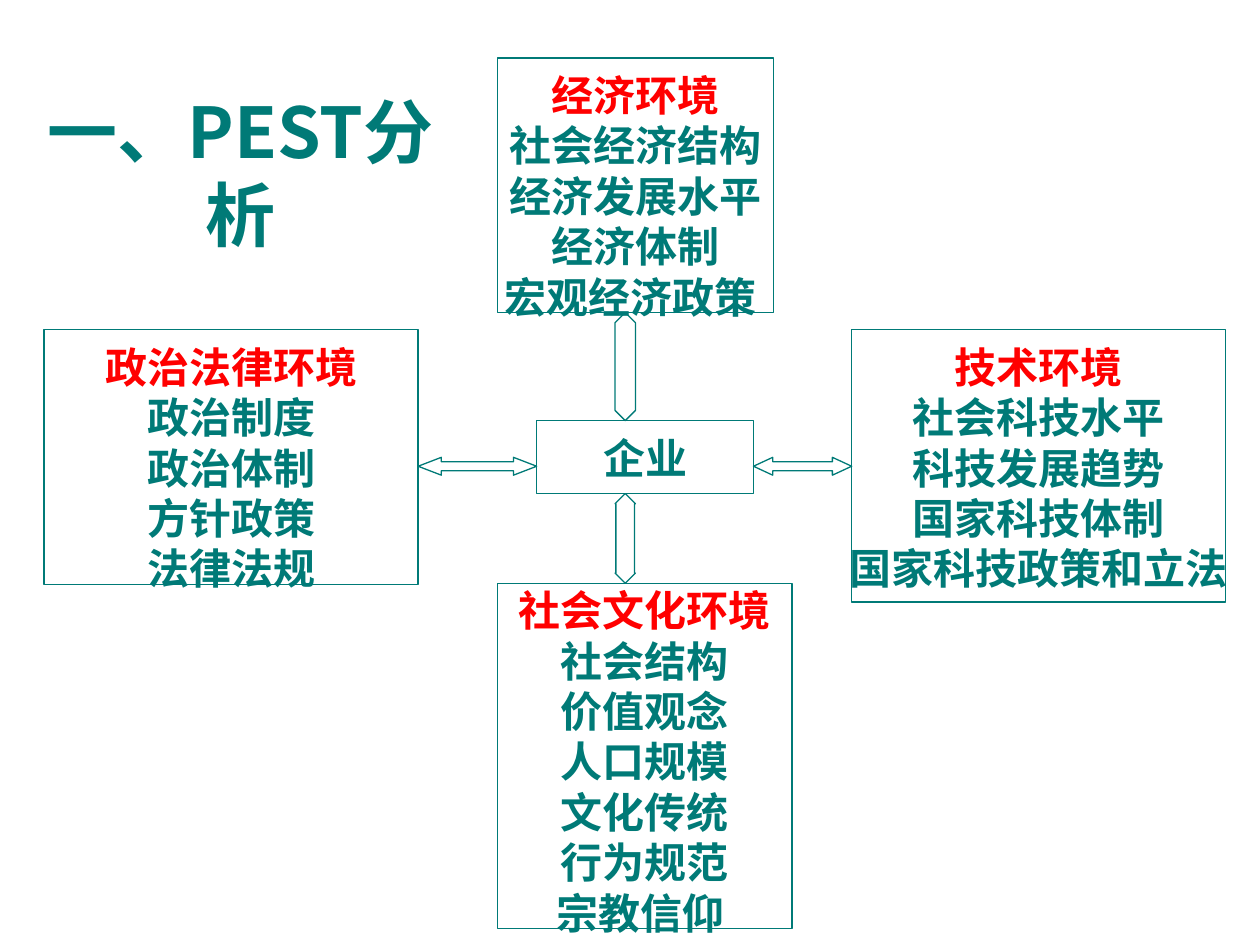
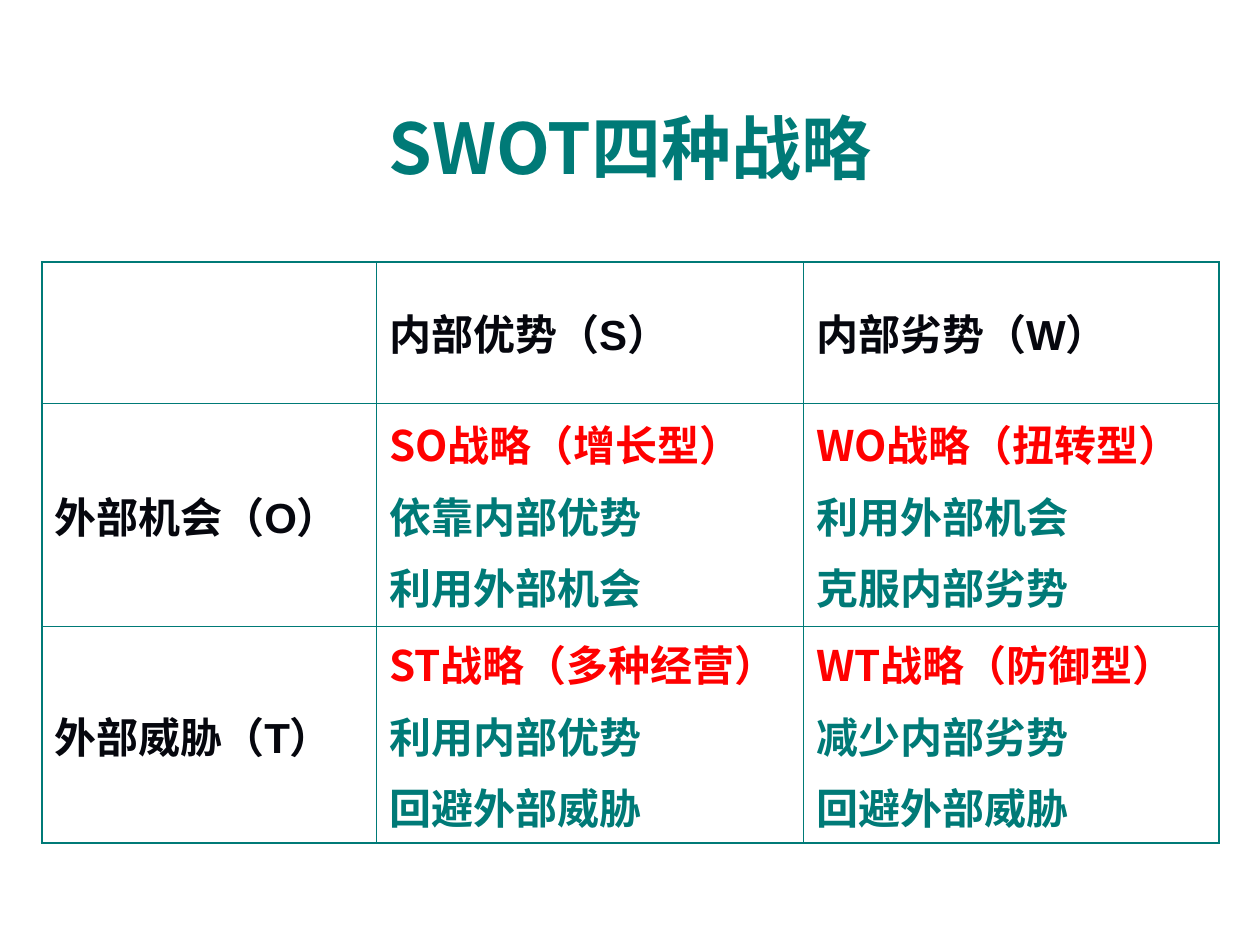
from lxml import etree
from pptx import Presentation
from pptx import util as u
from pptx.dml.color import RGBColor
from pptx.enum import shapes, text
from pptx.oxml.ns import qn

NOTO, TEAL, RED, INK = "Noto Sans CJK SC", "007A77", "FF0000", "06070E"
hue = RGBColor.from_string


def write(frame, lines, size, tints, faces, align, pitch=None, gap=0):
    for i, line in enumerate(lines):
        para = frame.paragraphs[0] if i == 0 else frame.add_paragraph()
        para.text = line
        para.alignment = align
        if pitch:
            para.line_spacing = u.Pt(pitch)
        if gap and i:
            para.space_before = u.Pt(gap)
        font = para.font
        font.size, font.bold = u.Pt(size), True
        font.name = faces[min(i, 1)]
        font.color.rgb = hue(tints[min(i, 1)])
        props = para._p.pPr.find(qn("a:defRPr"))
        etree.SubElement(props, qn("a:ea")).set("typeface", NOTO)


def start(name, place, pitch=None, top=0.13):
    slide = deck.slides.add_slide(deck.slide_layouts[5])
    title = slide.shapes.title
    title.left, title.top, title.width, title.height = map(u.Cm, place)
    frame = title.text_frame
    frame.auto_size = text.MSO_AUTO_SIZE.NONE
    frame.vertical_anchor = text.MSO_ANCHOR.MIDDLE
    frame.margin_top = u.Cm(top)
    write(frame, [name], 40, (TEAL, TEAL), (NOTO, NOTO), text.PP_ALIGN.CENTER, pitch)
    return slide


deck = Presentation()
deck.slide_width, deck.slide_height = u.Cm(25.4), u.Cm(19.05)

pest = start("一、PEST分析", (0.3, 1.73, 9.09, 3.18), 47.4, 0.46)

TOP, MID = text.MSO_ANCHOR.TOP, text.MSO_ANCHOR.MIDDLE
boxes = [
    ((10.03, 1.17, 5.56, 5.13), TOP, 0.23, RED, NOTO,
     ["经济环境", "社会经济结构", "经济发展水平", "经济体制", "宏观经济政策 "]),
    ((0.89, 6.65, 7.54, 5.13), TOP, 0.23, RED, NOTO,
     ["政治法律环境", "政治制度", "政治体制", "方针政策", "法律法规"]),
    ((17.17, 6.65, 7.54, 5.49), TOP, 0.23, RED, NOTO,
     ["技术环境", "社会科技水平", "科技发展趋势", "国家科技体制", "国家科技政策和立法"]),
    ((10.03, 11.76, 5.94, 6.96), MID, 0.33, RED, NOTO,
     ["社会文化环境", "社会结构", "价值观念", "人口规模", "文化传统", "行为规范", "宗教信仰 "]),
    ((10.82, 8.48, 4.37, 1.47), TOP, 0.23, TEAL, "Times New Roman", ["企业"]),
]
for place, anchor, top, tint, face, lines in boxes:
    box = pest.shapes.add_shape(shapes.MSO_SHAPE.RECTANGLE, *map(u.Cm, place))
    box.shadow.inherit = False
    box.fill.background()
    box.line.color.rgb = hue(TEAL)
    box.line.width = u.Pt(0.75)
    frame = box.text_frame
    frame.word_wrap = False
    frame.vertical_anchor = anchor
    frame.margin_top = u.Cm(top)
    write(frame, lines, 24, (tint, TEAL), (face, NOTO), text.PP_ALIGN.CENTER, 28.8)

ACROSS, UPDOWN = shapes.MSO_SHAPE.LEFT_RIGHT_ARROW, shapes.MSO_SHAPE.UP_DOWN_ARROW
arrows = [
    (ACROSS, (8.43, 9.22, 2.39, 0.36), (0.5, 1.3)),
    (ACROSS, (15.19, 9.22, 1.98, 0.36), (0.5, 1.08)),
    (UPDOWN, (12.4, 9.95, 0.41, 1.81), (0.5, 0.92)),
    (UPDOWN, (12.4, 6.3, 0.41, 2.18), (0.5, 1.11)),
]
for kind, place, bends in arrows:
    arrow = pest.shapes.add_shape(kind, *map(u.Cm, place))
    arrow.adjustments[0], arrow.adjustments[1] = bends
    arrow.shadow.inherit = False
    arrow.fill.background()
    arrow.line.color.rgb = hue(TEAL)
    arrow.line.width = u.Pt(0.75)

swot = start("SWOT四种战略", (0.84, 1.7, 23.72, 2.49))

rows = [
    [[], ["内部优势（S）"], ["内部劣势（W）"]],
    [["外部机会（O）"],
     ["SO战略（增长型）", "依靠内部优势", "利用外部机会"],
     ["WO战略（扭转型）", "利用外部机会", "克服内部劣势"]],
    [["外部威胁（T）"],
     ["ST战略（多种经营）", "利用内部优势", "回避外部威胁"],
     ["WT战略（防御型）", "减少内部劣势", "回避外部威胁"]],
]
grid = swot.shapes.add_table(3, 3, *map(u.Cm, (0.84, 5.28, 23.74, 11.43))).table
grid.first_row = grid.horz_banding = False
for col, wide in zip(grid.columns, (6.75, 8.61, 8.38)):
    col.width = u.Cm(wide)
for row, high in zip(grid.rows, (2.85, 4.5, 4.08)):
    row.height = u.Cm(high)

for r, row in enumerate(rows):
    for c, lines in enumerate(row):
        cell = grid.cell(r, c)
        cell.vertical_anchor = MID
        props = cell._tc.get_or_add_tcPr()
        edges = {"lnL": c == 0, "lnR": c == 2, "lnT": r == 0, "lnB": r == 2}
        for side, outer in edges.items():
            edge = etree.SubElement(props, qn("a:" + side))
            edge.set("w", str(u.Pt(1.08 if outer else 0.45)))
            fill = etree.SubElement(edge, qn("a:solidFill"))
            etree.SubElement(fill, qn("a:srgbClr")).set("val", TEAL)
        cell.fill.background()
        plan = r > 0 and c > 0
        tints = (RED, TEAL) if plan else (INK, INK)
        faces = (NOTO if plan else "Arial", "Arial")
        write(cell.text_frame, lines, 24, tints, faces, text.PP_ALIGN.LEFT, gap=6)

deck.save("out.pptx")
